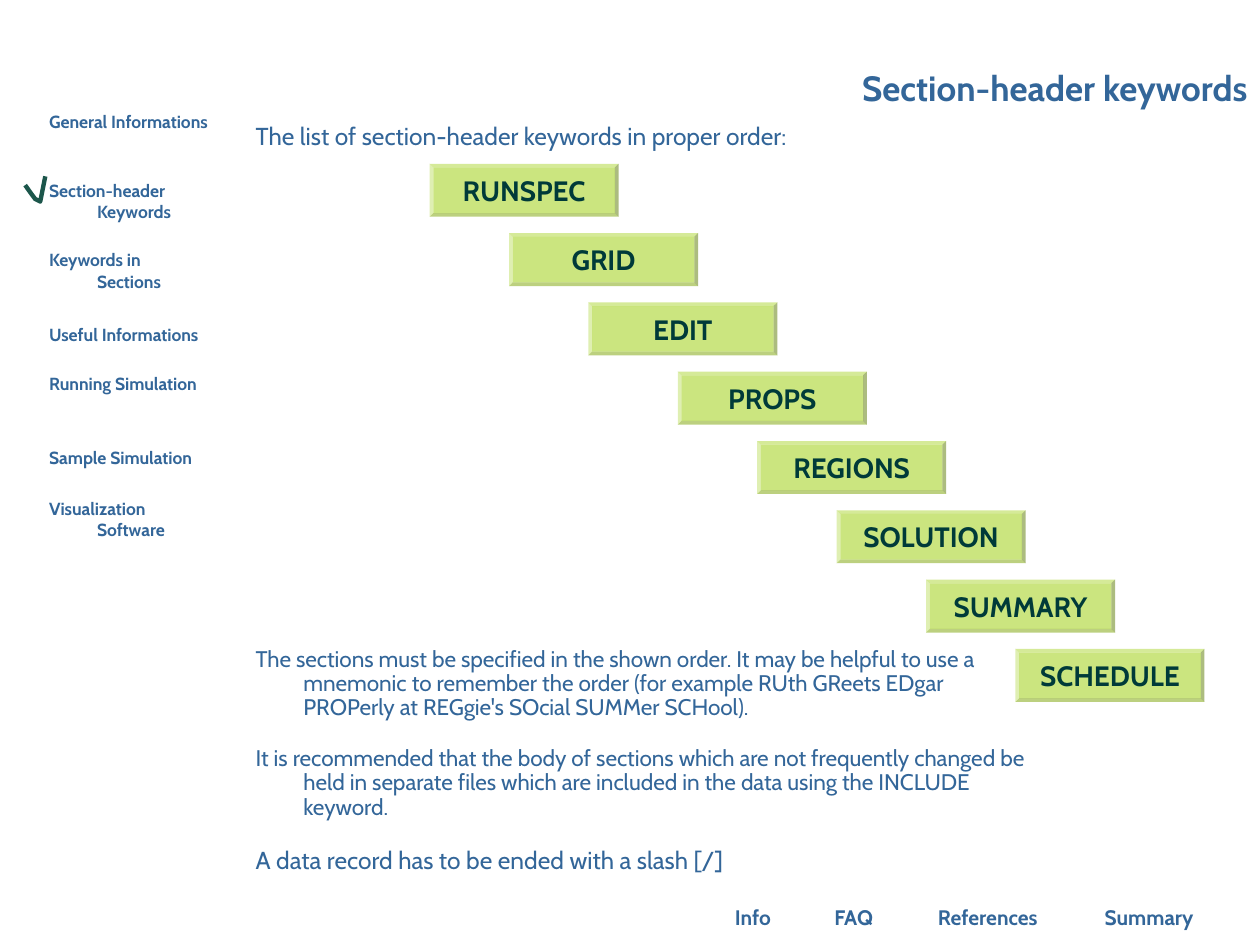
from lxml.etree import SubElement
from pptx import Presentation
from pptx.dml.color import RGBColor
from pptx.enum.shapes import MSO_SHAPE
from pptx.enum.text import MSO_ANCHOR, PP_ALIGN
from pptx.oxml.ns import qn
from pptx.util import Inches, Pt

BLUE = RGBColor(0x33, 0x66, 0x99)
LIME = RGBColor(0x99, 0xCC, 0x00)
PINE = RGBColor(0x00, 0x3A, 0x39)
TICK = RGBColor(0x1C, 0x56, 0x4B)

deck = Presentation()
deck.slide_width = Inches(10)
deck.slide_height = Inches(7.5)
COL = deck.slide_width // 100
ROW = deck.slide_height // 75
slide = deck.slides.add_slide(deck.slide_layouts[6])


def cells(left, top, width, height):
    return round(left * COL), round(top * ROW), round(width * COL), round(height * ROW)


def write(holder, text, size=14, color=BLUE, bold=False, align=PP_ALIGN.LEFT,
          anchor=MSO_ANCHOR.TOP, inset=1, hanging=0, spacing=1.0):
    frame = holder.text_frame
    frame.word_wrap = True
    frame.vertical_anchor = anchor
    frame.margin_left = frame.margin_right = inset * COL
    frame.margin_top = frame.margin_bottom = inset * ROW // 2
    line = frame.paragraphs[0]
    line.text = text
    line.alignment = align
    line.line_spacing = spacing
    if hanging:
        indents = line._p.get_or_add_pPr()
        indents.set("marL", str(round(hanging * COL)))
        indents.set("indent", str(round(-hanging * COL)))
    line.font.name = "Cabin"
    line.font.size = Pt(size)
    line.font.bold = bold
    line.font.color.rgb = color


footer_links = [("Info", 56.3, 6.9), ("FAQ", 64.8, 5.9),
                ("References", 72.7, 11.4), ("Summary", 86.1, 10.2)]
for label, left, width in footer_links:
    write(slide.shapes.add_textbox(*cells(left, 71.3, width, 3)), label, size=12,
          bold=True, align=PP_ALIGN.CENTER, anchor=MSO_ANCHOR.BOTTOM)

menu = [("General Informations", 8.8, 13), ("Section-header Keywords", 14.3, 12.1),
        ("Keywords in Sections", 19.8, 12.5), ("Useful Informations", 25.7, 14.6),
        ("Running Simulation", 29.6, 13.4), ("Sample Simulation", 35.5, 13.4),
        ("Visualization Software", 39.5, 12.2)]
for label, top, width in menu:
    write(slide.shapes.add_textbox(*cells(3.9, top, width, 3.5)), label, size=10,
          bold=True, inset=0, hanging=3.8)

write(slide.shapes.add_textbox(*cells(19.2, 3.6, 80.8, 5.5)), "Section-header keywords",
      size=20, bold=True, align=PP_ALIGN.RIGHT, anchor=MSO_ANCHOR.BOTTOM)
write(slide.shapes.add_textbox(*cells(19.3, 9.1, 70.1, 3.9)),
      "The list of section-header keywords in proper order:")

tick_path = slide.shapes.build_freeform(36, 140, scale=COL / 10)
tick_path.add_line_segments([(32, 160), (28, 158), (25, 154), (20, 147)], close=False)
tick = tick_path.convert_to_shape()
tick.shadow.inherit = False
tick.fill.background()
tick.line.color.rgb = TICK
tick.line.width = Pt(2.5)

keywords = [("RUNSPEC", 34.1), ("GRID", 40.4), ("EDIT", 46.7), ("PROPS", 53.8),
            ("REGIONS", 60.1), ("SOLUTION", 66.4), ("SUMMARY", 73.5), ("SCHEDULE", 80.6)]
for step, (keyword, left) in enumerate(keywords):
    plate = slide.shapes.add_shape(MSO_SHAPE.BEVEL, *cells(left, 13 + 5.5 * step, 15, 4.2))
    plate.adjustments[0] = 0.07
    plate.shadow.inherit = False
    plate.fill.solid()
    plate.fill.fore_color.rgb = LIME
    tint = plate._element.spPr.find(qn("a:solidFill"))[0]
    SubElement(tint, qn("a:alpha")).set("val", "50000")
    plate.line.fill.background()
    write(plate, keyword, size=16, color=PINE, bold=True,
          align=PP_ALIGN.CENTER, anchor=MSO_ANCHOR.MIDDLE)

remarks = [
    ("The sections must be specified in the shown order. It may be helpful to use a "
     "mnemonic to remember the order (for example RUth GReets EDgar PROPerly at "
     "REGgie's SOcial SUMMer SCHool).", 50.9, 61.4, 8.7, 12.9, 0.9),
    ("It is recommended that the body of sections which are not frequently changed be "
     "held in separate files which are included in the data using the INCLUDE keyword.",
     58.8, 63.8, 7.9, 12.9, 0.9),
    ("A data record has to be ended with a slash [/]", 66.6, 68.5, 3.9, 14, 1.0),
]
for remark, top, width, height, size, spacing in remarks:
    write(slide.shapes.add_textbox(*cells(19.3, top, width, height)), remark,
          size=size, hanging=3.8, spacing=spacing)

deck.save("out.pptx")
